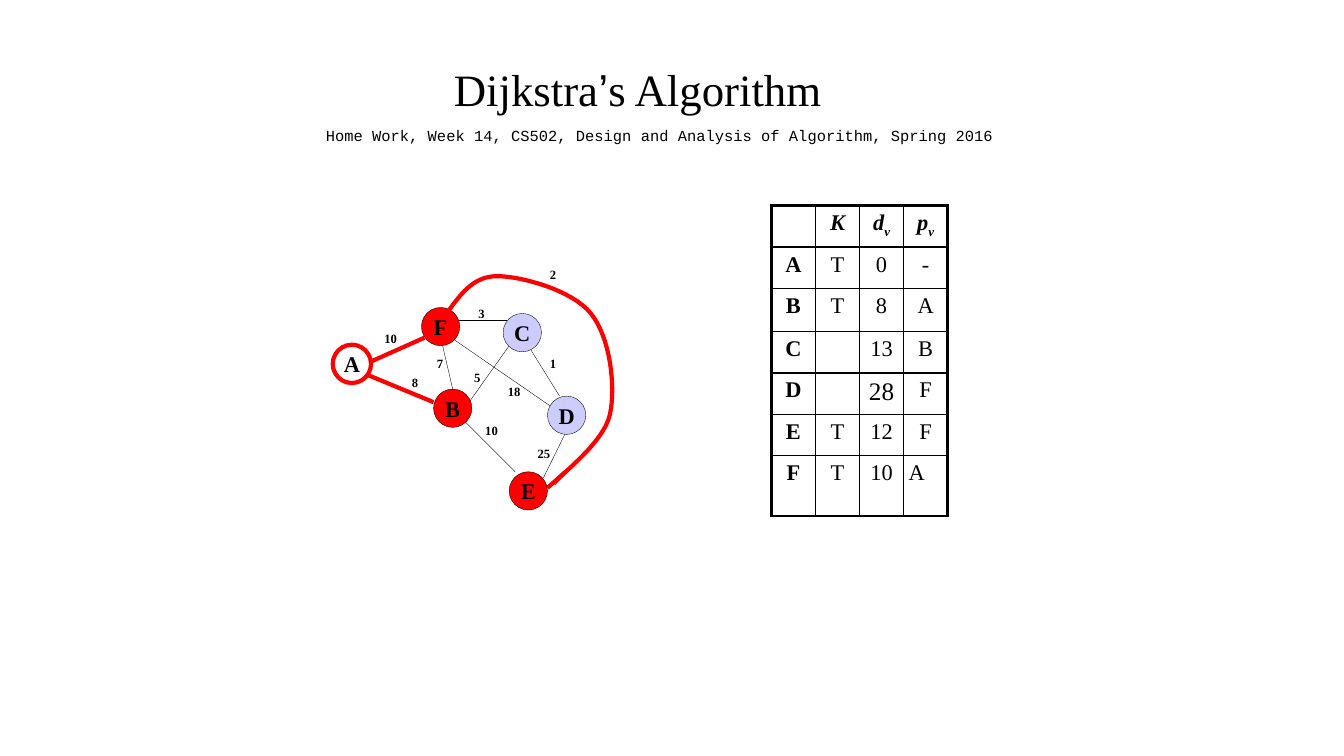
from lxml import etree
from pptx import Presentation
from pptx.dml.color import RGBColor
from pptx.enum.shapes import MSO_CONNECTOR as Connector, MSO_SHAPE as Shape
from pptx.enum.text import MSO_ANCHOR as Anchor, MSO_AUTO_SIZE as AutoSize, PP_ALIGN as Align
from pptx.oxml.ns import qn
from pptx.util import Inches, Pt

BLACK = RGBColor(0x00, 0x00, 0x00)
WHITE = RGBColor(0xFF, 0xFF, 0xFF)
RED = RGBColor(0xFF, 0x00, 0x00)
LAVENDER = RGBColor(0xCC, 0xCC, 0xFF)
SERIF = "Times New Roman"
THIN, THICK = 0.25, 3
NODE_SIZE = 0.38

# Edges: start, end, colour, width
EDGES = [
    ((5.7, 4.11), (5.39, 4.74), BLACK, THIN),
    ((4.36, 3.3), (4.49, 3.86), BLACK, THIN),
    ((4.61, 4.05), (5.05, 3.43), BLACK, THIN),
    ((5.49, 4.05), (4.49, 3.36), BLACK, THIN),
    ((4.53, 3.18), (5.03, 3.18), BLACK, THIN),
    ((5.24, 3.43), (5.55, 3.93), BLACK, THIN),
    ((4.61, 4.18), (5.11, 4.68), BLACK, THIN),
    ((3.55, 3.68), (4.3, 3.99), RED, THICK),
    ((3.65, 3.6), (4.21, 3.35), RED, THICK),
    ((5.61, 4.68), (5.43, 4.84), RED, THICK),
]

# Nodes: name, left, top, fill, outline, outline width
NODES = [
    ("B", 4.3, 3.86, RED, BLACK, THIN),
    ("F", 4.18, 3.05, RED, BLACK, THIN),
    ("E", 5.05, 4.68, RED, BLACK, THIN),
    ("D", 5.43, 3.93, LAVENDER, BLACK, THIN),
    ("C", 4.99, 3.11, LAVENDER, BLACK, THIN),
    ("A", 3.3, 3.42, WHITE, RED, THICK),
]

# Edge weights: text, left, top, width
WEIGHTS = [
    ("25", 5.2, 4.38, 0.39), ("10", 4.68, 4.16, 0.39), ("18", 4.91, 3.77, 0.38),
    ("1", 5.36, 3.49, 0.25), ("5", 4.61, 3.63, 0.25), ("3", 4.65, 2.99, 0.25),
    ("7", 4.24, 3.49, 0.25), ("8", 3.99, 3.68, 0.25), ("10", 3.68, 3.24, 0.39),
    ("2", 5.36, 2.61, 0.25),
]

# Cubic curve from F to E: start, then two control points and an end per segment
CURVE_START = (4.43, 3.11)
CURVE_SEGMENTS = [
    ((4.56, 2.93), (4.69, 2.74), (4.93, 2.74)),
    ((5.17, 2.74), (5.68, 2.88), (5.86, 3.11)),
    ((6.05, 3.34), (6.11, 3.83), (6.05, 4.11)),
    ((5.99, 4.39), (5.58, 4.69), (5.49, 4.8)),
]

TABLE_ROWS = [
    ["", "K", "dv", "pv"],
    ["A", "T", "0", "-"],
    ["B", "T", "8", "A"],
    ["C", "", "13", "B"],
    ["D", "", "28", "F"],
    ["E", "T", "12", "F"],
    ["F", "T", "10", "A"],
]
ROW_HEIGHTS = [0.41, 0.41, 0.43, 0.41, 0.41, 0.41, 0.6]


def style_font(font, size, name=SERIF, bold=False, italic=False):
    font.size, font.name = Pt(size), name
    font.bold, font.italic = bold, italic
    font.color.rgb = BLACK


def set_margins(text_frame, margin):
    text_frame.margin_left = text_frame.margin_right = Inches(margin)
    text_frame.margin_top = text_frame.margin_bottom = Inches(margin)


def add_title(slide):
    title = slide.shapes.title
    title.left, title.top = Inches(4.46), Inches(0.57)
    title.width, title.height = Inches(3.73), Inches(0.58)
    text_frame = title.text_frame
    text_frame.word_wrap = False
    text_frame.auto_size = AutoSize.NONE
    text_frame.vertical_anchor = Anchor.TOP
    set_margins(text_frame, 0.04)
    paragraph = text_frame.paragraphs[0]
    paragraph.alignment = Align.CENTER
    for text, name in [("Dijkstra", SERIF), ("’", "Arial"), ("s Algorithm", SERIF)]:
        run = paragraph.add_run()
        run.text = text
        style_font(run.font, 32, name)


def add_label(slide, text, left, top, width, height, size, name=SERIF, bold=False, margin=0.04):
    label = slide.shapes.add_textbox(Inches(left), Inches(top), Inches(width), Inches(height))
    text_frame = label.text_frame
    text_frame.word_wrap = True
    set_margins(text_frame, margin)
    text_frame.text = text
    paragraph = text_frame.paragraphs[0]
    paragraph.alignment = Align.CENTER
    style_font(paragraph.runs[0].font, size, name, bold)


def add_edge(slide, start, end, color, width):
    points = [Inches(value) for value in (*start, *end)]
    edge = slide.shapes.add_connector(Connector.STRAIGHT, *points)
    edge.line.color.rgb = color
    edge.line.width = Pt(width)
    etree.SubElement(edge._element.spPr, qn("a:effectLst"))


def add_node(slide, name, left, top, fill, outline, width):
    node = slide.shapes.add_shape(
        Shape.OVAL, Inches(left), Inches(top), Inches(NODE_SIZE), Inches(NODE_SIZE))
    node.shadow.inherit = False
    node.fill.solid()
    node.fill.fore_color.rgb = fill
    node.line.color.rgb = outline
    node.line.width = Pt(width)
    text_frame = node.text_frame
    text_frame.word_wrap = False
    text_frame.vertical_anchor = Anchor.MIDDLE
    set_margins(text_frame, 0)
    text_frame.text = name
    paragraph = text_frame.paragraphs[0]
    paragraph.alignment = Align.CENTER
    style_font(paragraph.runs[0].font, 16, bold=True)


def curve_points(start, segments, steps=16):
    points = []
    for first, second, end in segments:
        for step in range(1, steps + 1):
            t = step / steps
            u = 1 - t
            points.append(tuple(
                Inches(u**3 * a + 3 * u**2 * t * b + 3 * u * t**2 * c + t**3 * d)
                for a, b, c, d in zip(start, first, second, end)))
        start = end
    return points


def add_curve(slide):
    builder = slide.shapes.build_freeform(*[Inches(value) for value in CURVE_START])
    builder.add_line_segments(curve_points(CURVE_START, CURVE_SEGMENTS), close=False)
    curve = builder.convert_to_shape()
    curve.shadow.inherit = False
    curve.fill.background()
    curve.line.color.rgb = RED
    curve.line.width = Pt(THICK)


def set_borders(cell, widths):
    properties = cell._tc.get_or_add_tcPr()
    for side, width in widths.items():
        border = etree.SubElement(properties, qn(f"a:ln{side}"), w=str(Pt(width)))
        fill = etree.SubElement(border, qn("a:solidFill"))
        etree.SubElement(fill, qn("a:srgbClr"), val=str(BLACK))


def fill_cell(cell, text, row, column):
    set_borders(cell, {
        "L": 2.25 if column == 0 else 1,
        "R": 2.25 if column == 3 else 1,
        "T": 2.25 if row == 0 else 1,
        "B": 1,
    })
    cell.fill.background()
    set_margins(cell, 0.05)
    if not text:
        return
    paragraph = cell.text_frame.paragraphs[0]
    paragraph.alignment = Align.LEFT if (row, column) == (6, 3) else Align.CENTER
    # Header symbols carry a subscript after the first letter
    for index, part in enumerate(text if row == 0 else [text]):
        run = paragraph.add_run()
        run.text = part
        style_font(run.font, 18 if text == "28" else 16,
                   bold=row == 0 or column == 0, italic=row == 0)
        if index:
            run._r.get_or_add_rPr().set("baseline", "-25000")


def add_distance_table(slide):
    frame = slide.shapes.add_table(
        len(TABLE_ROWS), 4, Inches(7.65), Inches(2.04), Inches(1.75), Inches(sum(ROW_HEIGHTS)))
    table = frame.table
    table.first_row = table.horz_banding = False
    for column in table.columns:
        column.width = Inches(1.75 / 4)
    for row, texts in enumerate(TABLE_ROWS):
        table.rows[row].height = Inches(ROW_HEIGHTS[row])
        for column, text in enumerate(texts):
            fill_cell(table.cell(row, column), text, row, column)


def main():
    presentation = Presentation()
    presentation.slide_width, presentation.slide_height = Inches(13.33), Inches(7.5)
    slide = presentation.slides.add_slide(presentation.slide_layouts[5])

    # Heading
    add_title(slide)
    add_label(slide, "Home Work, Week 14, CS502, Design and Analysis of Algorithm, Spring 2016",
              3.08, 1.22, 6.93, 0.23, 11, "Courier New", margin=0.03)

    # Distance table
    add_distance_table(slide)

    # Graph
    for edge in EDGES:
        add_edge(slide, *edge)
    for node in NODES:
        add_node(slide, *node)
    add_curve(slide)
    for text, left, top, width in WEIGHTS:
        add_label(slide, text, left, top, width, 0.21, 9, bold=True)

    presentation.save("out.pptx")


if __name__ == "__main__":
    main()
